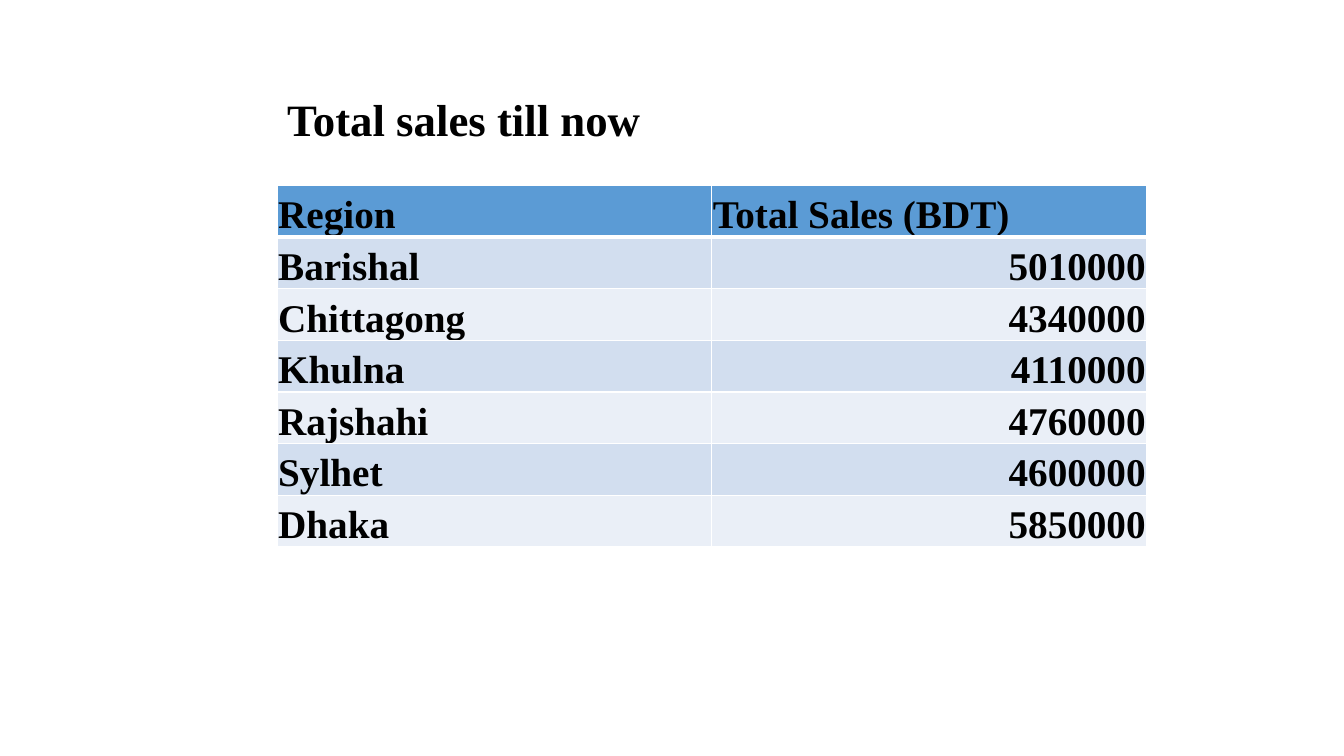
from lxml.etree import SubElement
from pptx import Presentation
from pptx.dml.color import RGBColor
from pptx.enum.text import MSO_ANCHOR, MSO_AUTO_SIZE, PP_ALIGN
from pptx.oxml.ns import qn
from pptx.util import Inches, Pt

BLACK = RGBColor(0x00, 0x00, 0x00)
WHITE = RGBColor(0xFF, 0xFF, 0xFF)
BLUE = RGBColor(0x5B, 0x9B, 0xD5)
BANDS = RGBColor(0xD2, 0xDE, 0xEF), RGBColor(0xEA, 0xEF, 0xF7)

GRID_COLS, GRID_ROWS = 160, 90
HEADER = "Region", "Total Sales (BDT)"
SALES = [
    ("Barishal", 5010000),
    ("Chittagong", 4340000),
    ("Khulna", 4110000),
    ("Rajshahi", 4760000),
    ("Sylhet", 4600000),
    ("Dhaka", 5850000),
]


def write(tf, text, size, align=PP_ALIGN.LEFT, font="Times New Roman", color=BLACK, bold=True):
    p = tf.paragraphs[0]
    p.alignment = align
    r = p.add_run()
    r.text = text
    r.font.name = font
    r.font.size = Pt(size)
    r.font.bold = bold
    r.font.color.rgb = color


def add_borders(cell, top, bottom):
    tcPr = cell._tc.get_or_add_tcPr()
    widths = {"lnL": 1, "lnR": 1, "lnT": top, "lnB": bottom}
    for i, (side, width) in enumerate(widths.items()):
        ln = SubElement(tcPr, qn(f"a:{side}"), w=str(Pt(width)))
        fill = SubElement(ln, qn("a:solidFill"))
        SubElement(fill, qn("a:srgbClr"), val=str(WHITE))
        tcPr.insert(i, ln)


class SalesSlide:
    def __init__(self, prs):
        self.col = prs.slide_width / GRID_COLS
        self.row = prs.slide_height / GRID_ROWS
        self.slide = prs.slides.add_slide(prs.slide_layouts[6])

    def box(self, x, y, w, h):
        return [int(n) for n in (x * self.col, y * self.row, w * self.col, h * self.row)]

    def title(self, text, x, y, w, h):
        tf = self.slide.shapes.add_textbox(*self.box(x, y, w, h)).text_frame
        tf.word_wrap = True
        tf.auto_size = MSO_AUTO_SIZE.SHAPE_TO_FIT_TEXT
        write(tf, text, 32)

    def table(self, header, records, x, y, w, h):
        rows = [header, *records]
        frame = self.slide.shapes.add_table(len(rows), len(header), *self.box(x, y, w, h))
        for i, values in enumerate(rows):
            for j, value in enumerate(values):
                self.cell(frame.table.cell(i, j), value, i)

    def cell(self, cell, value, i):
        cell.margin_left = cell.margin_right = cell.margin_top = Inches(0.01)
        cell.margin_bottom = 0
        cell.vertical_anchor = MSO_ANCHOR.BOTTOM
        cell.fill.solid()
        cell.fill.fore_color.rgb = BANDS[(i - 1) % 2] if i else BLUE
        align = PP_ALIGN.RIGHT if isinstance(value, int) else PP_ALIGN.LEFT
        write(cell.text_frame, str(value), 28, align=align)
        add_borders(cell, top=3 if i == 1 else 1, bottom=1 if i else 3)


def main():
    prs = Presentation()
    prs.slide_width, prs.slide_height = Inches(13.33), Inches(7.5)
    s = SalesSlide(prs)
    s.table(HEADER, SALES, 33, 22.1, 103.5, 43)
    s.title("Total sales till now", 33, 10.3, 48.2, 7.7)
    prs.save("out.pptx")


if __name__ == "__main__":
    main()
